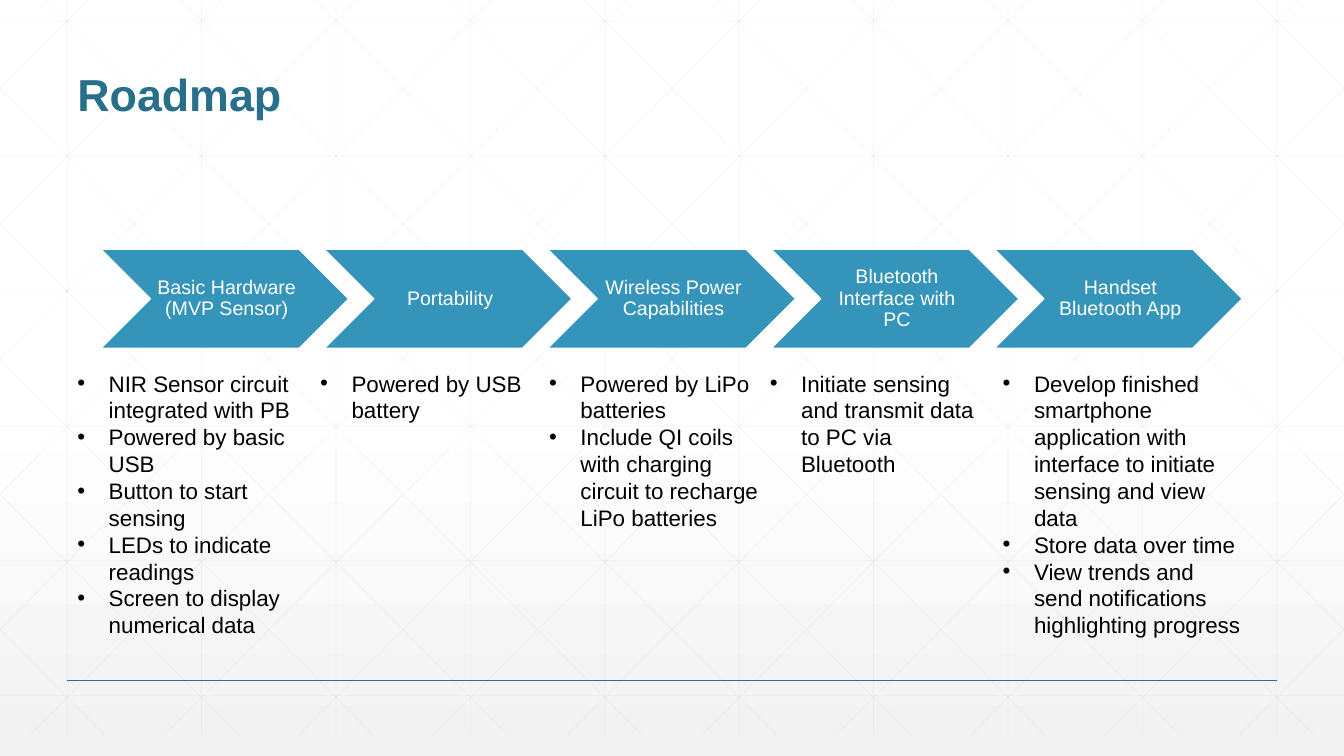
from copy import deepcopy

from lxml import etree
from pptx import Presentation
from pptx.dml.color import RGBColor
from pptx.enum import shapes, text
from pptx.oxml import ns
from pptx.util import Cm, Pt

WIDTH, HEIGHT = 33.87, 19.05
GRID_TOP, GRID_BOTTOM = -0.53, 18.52
DIAGONAL_RUN = 18.93
PITCH_X, PITCH_Y = 3.387, 3.4
MARGIN = 1.7
INDENT = Cm(0.79)

STAGES = [
    ("Basic Hardware (MVP Sensor)", 1.7, 6.15, 7.09, [
        "NIR Sensor circuit integrated with PB",
        "Powered by basic USB",
        "Button to start sensing",
        "LEDs to indicate readings",
        "Screen to display numerical data"]),
    ("Portability", 7.82, 6.15, 1.63, ["Powered by USB battery"]),
    ("Wireless Power Capabilities", 13.59, 6.15, 4.37, [
        "Powered by LiPo batteries",
        "Include QI coils with charging circuit to recharge LiPo batteries"]),
    ("Bluetooth Interface with PC", 19.15, 5.69, 3.0, [
        "Initiate sensing and transmit data to PC via Bluetooth"]),
    ("Handset Bluetooth App", 25.02, 6.53, 7.09, [
        "Develop finished smartphone application with interface to "
        "initiate sensing and view data",
        "Store data over time",
        "View trends and send notifications highlighting progress"]),
]


def rgb(value):
    return RGBColor.from_string(value)


def add_child(parent, tag, **attributes):
    return etree.SubElement(parent, ns.qn(tag), **attributes)


def write(frame, lines, size=16, color="000000", bold=False, align=None,
          spacing=None, anchor=text.MSO_ANCHOR.TOP, bullet=None):
    frame.word_wrap = True
    frame.vertical_anchor = anchor
    for number, line in enumerate(lines):
        paragraph = frame.paragraphs[0] if number == 0 else frame.add_paragraph()
        paragraph.alignment = align
        paragraph.line_spacing = spacing
        run = paragraph.add_run()
        run.text = line
        run.font.name = "Arial"
        run.font.size = Pt(size)
        run.font.bold = bold
        run.font.color.rgb = rgb(color)
        if bullet:
            properties = paragraph._p.get_or_add_pPr()
            properties.set("marL", str(INDENT))
            properties.set("indent", str(-INDENT))
            add_child(properties, "a:buFont", typeface="Arial")
            add_child(properties, "a:buChar", char=bullet)


def add_line(slide, x1, y1, x2, y2, color="D9D9D9", weight=0.5, opacity=None):
    line = slide.shapes.add_connector(
        shapes.MSO_CONNECTOR.STRAIGHT, Cm(x1), Cm(y1), Cm(x2), Cm(y2))
    line.line.color.rgb = rgb(color)
    line.line.width = Pt(weight)
    properties = line._element.spPr
    if opacity:
        shade = properties.find(".//" + ns.qn("a:srgbClr"))
        add_child(shade, "a:alpha", val=str(opacity * 1000))
    add_child(properties, "a:effectLst")


def paint_background(slide):
    fill = slide.background.fill
    fill.gradient()
    fill.gradient_angle = 270
    white, grey = fill.gradient_stops
    white.color.rgb = rgb("FFFFFF")
    white.position = 0.53
    grey.color.rgb = rgb("F2F2F2")
    grey.position = 1
    stops = slide.element.find(".//" + ns.qn("a:gsLst"))
    first = deepcopy(stops[0])
    first.set("pos", "0")
    stops.insert(0, first)


def draw_lattice(slide):
    for column in range(10):
        x = PITCH_X * (column + 0.5)
        add_line(slide, x, GRID_TOP, x, GRID_BOTTOM, opacity=25)
    for row in range(6):
        y = 0.53 + PITCH_Y * row
        add_line(slide, 0, y, WIDTH, y, opacity=25)
    slope = (GRID_BOTTOM - GRID_TOP) / DIAGONAL_RUN
    for step in range(-5, 10):
        origin = 0.64 + PITCH_X * step
        x1, x2 = max(0, origin), min(WIDTH, origin + DIAGONAL_RUN)
        y1, y2 = (GRID_TOP + (x - origin) * slope for x in (x1, x2))
        add_line(slide, x1, y1, x2, y2, opacity=25)
        add_line(slide, WIDTH - x1, y1, WIDTH - x2, y2, opacity=25)


def add_title(slide, title):
    box = slide.shapes.add_textbox(Cm(MARGIN), Cm(0.64), Cm(30.48), Cm(2.54))
    write(box.text_frame, [title], size=32, color="276F8B", bold=True,
          spacing=0.9, anchor=text.MSO_ANCHOR.BOTTOM)


def add_chevron(slide, left, label):
    chevron = slide.shapes.add_shape(
        shapes.MSO_SHAPE.CHEVRON, Cm(left), Cm(6.28), Cm(6.25), Cm(2.5))
    chevron.shadow.inherit = False
    chevron.fill.solid()
    chevron.fill.fore_color.rgb = rgb("3494BA")
    chevron.line.color.rgb = rgb("FFFFFF")
    chevron.line.width = Pt(1)
    frame = chevron.text_frame
    frame.margin_left = Cm(0.15)
    frame.margin_right = frame.margin_top = frame.margin_bottom = Cm(0.05)
    write(frame, [label], size=14, color="FFFFFF", spacing=0.9,
          align=text.PP_ALIGN.CENTER, anchor=text.MSO_ANCHOR.MIDDLE)


def add_goals(slide, left, width, height, goals):
    box = slide.shapes.add_textbox(Cm(left), Cm(9.19), Cm(width), Cm(height))
    write(box.text_frame, goals, bullet="•")
    box.text_frame.auto_size = text.MSO_AUTO_SIZE.SHAPE_TO_FIT_TEXT


def main():
    deck = Presentation()
    deck.slide_width, deck.slide_height = Cm(WIDTH), Cm(HEIGHT)
    slide = deck.slides.add_slide(deck.slide_layouts[6])
    paint_background(slide)
    draw_lattice(slide)
    add_line(slide, MARGIN, 17.15, WIDTH - MARGIN, 17.15, color="276F8B", weight=1)
    add_title(slide, "Roadmap")
    for number, (label, left, width, height, goals) in enumerate(STAGES):
        add_chevron(slide, 2.54 + 5.63 * number, label)
        add_goals(slide, left, width, height, goals)
    deck.save("out.pptx")


if __name__ == "__main__":
    main()
